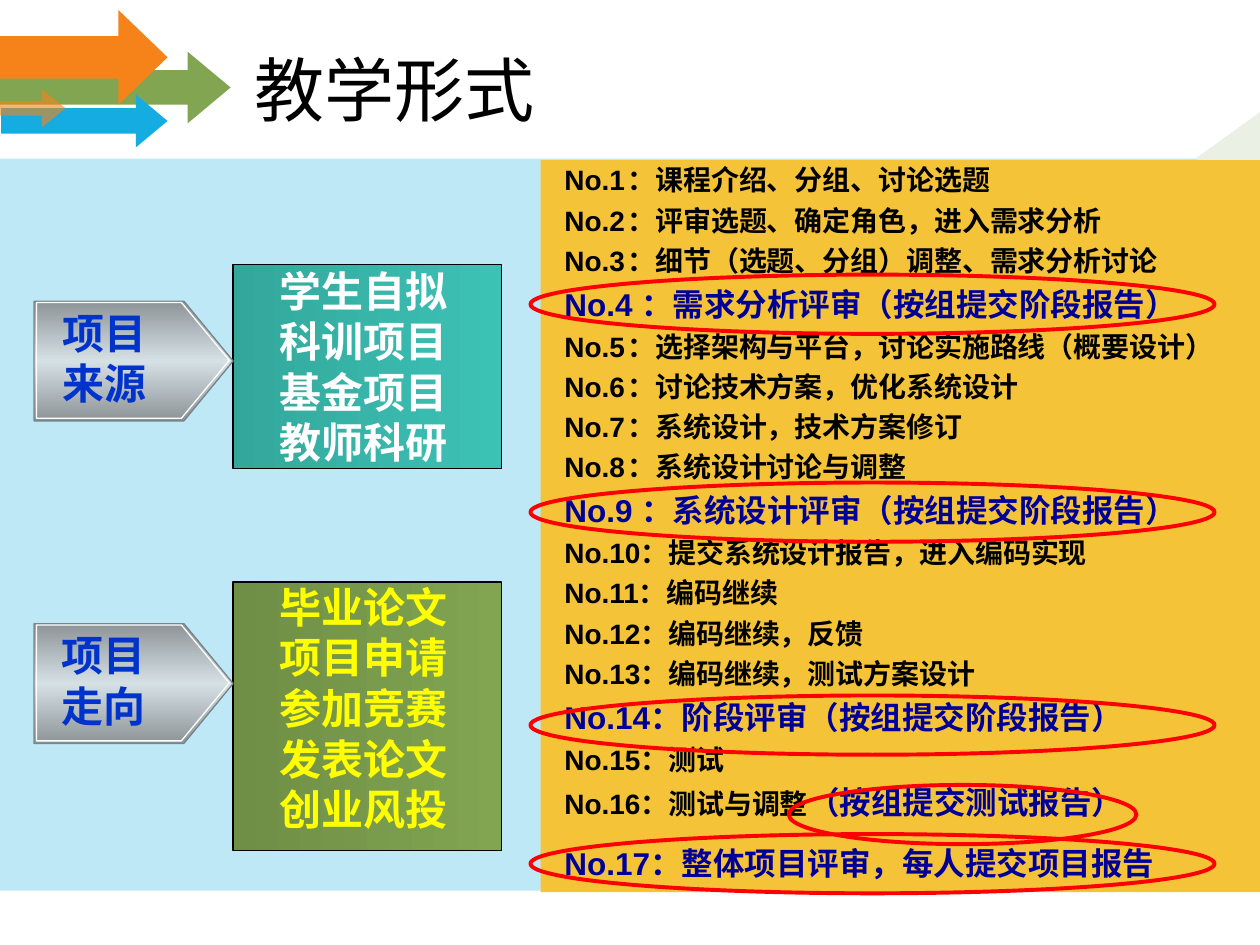
"""Build the slide on teaching formats, with project sources, outcomes and the session plan."""
from dataclasses import dataclass
from typing import Any, Optional

from lxml.etree import SubElement
from pptx import Presentation
from pptx.dml.color import RGBColor
from pptx.enum.shapes import MSO_SHAPE
from pptx.enum.text import MSO_ANCHOR, MSO_AUTO_SIZE, PP_ALIGN
from pptx.oxml.ns import qn
from pptx.util import Inches, Pt

BLACK, NAVY, RED, WHITE = "000000", "000099", "FF0000", "FFFFFF"
GREEN, ORANGE, BLUE = "81A551", "F6831A", "15ACE1"
STEEL = ("8D9498", "D5E0E5", "8D9498")


@dataclass(frozen=True)
class Area:
    left: float
    top: float
    width: float
    height: float

    def lengths(self) -> tuple:
        return tuple(Inches(side) for side in (self.left, self.top, self.width, self.height))


@dataclass(frozen=True)
class Arrow:
    area: Area
    color: str
    shaft: float
    head: float
    opacity: int = 100


@dataclass(frozen=True)
class Card:
    area: Area
    text_area: Area
    colors: tuple
    text_color: str
    lines: tuple


@dataclass(frozen=True)
class Tag:
    left: float
    top: float
    text_left: float
    lines: tuple


@dataclass(frozen=True)
class Session:
    plain: str = ""
    review: str = ""
    space_before: int = 0


ARROWS = (
    Arrow(Area(0.63, -0.22, 0.57, 1.83), GREEN, 0.48, 0.6),
    Arrow(Area(0.29, -0.21, 0.75, 1.33), ORANGE, 0.45, 0.52),
    Arrow(Area(0.46, 0.3, 0.42, 1.32), BLUE, 0.48, 0.6),
    Arrow(Area(0.11, 0.6, 0.3, 0.52), ORANGE, 0.39, 0.62, 60),
)
CARDS = (
    Card(Area(1.85, 4.62, 2.13, 2.13), Area(1.93, 4.61, 1.91, 2.07), ("6F8E46", GREEN), "FFFF00",
         ("毕业论文", "项目申请", "参加竞赛", "发表论文", "创业风投")),
    Card(Area(1.85, 2.1, 2.13, 1.62), Area(1.93, 2.1, 1.91, 1.67), ("34A79C", "3CC2B5"), WHITE,
         ("学生自拟", "科训项目", "基金项目", "教师科研")),
)
TAGS = (
    Tag(0.27, 2.39, 0.32, ("项目", "来源")),
    Tag(0.27, 4.95, 0.31, ("项目", "走向")),
)
SESSIONS = (
    Session("No.1\t：课程介绍、分组、讨论选题"),
    Session("No.2\t：评审选题、确定角色，进入需求分析"),
    Session("No.3\t：细节（选题、分组）调整、需求分析讨论"),
    Session(review="No.4 ：需求分析评审（按组提交阶段报告）"),
    Session("No.5\t：选择架构与平台，讨论实施路线（概要设计）"),
    Session("No.6\t：讨论技术方案，优化系统设计"),
    Session("No.7\t：系统设计，技术方案修订"),
    Session("No.8\t：系统设计讨论与调整"),
    Session(review="No.9 ：系统设计评审（按组提交阶段报告）"),
    Session("No.10：提交系统设计报告，进入编码实现"),
    Session("No.11：编码继续"),
    Session("No.12：编码继续，反馈"),
    Session("No.13：编码继续，测试方案设计"),
    Session(review="No.14：阶段评审（按组提交阶段报告）"),
    Session("No.15：测试"),
    Session("No.16：测试与调整", "（按组提交测试报告）"),
    Session(review="No.17：整体项目评审，每人提交项目报告", space_before=9),
)
RINGS = tuple(Area(4.21, top, 5.43, 0.47) for top in (3.83, 2.18, 5.52, 6.62)) + (
    Area(6.26, 6.23, 2.76, 0.47),)


def set_format(target: Any, values: dict) -> None:
    for name, value in values.items():
        setattr(target, name, value)


def paint(fill: Any, color: str) -> None:
    fill.solid()
    fill.fore_color.rgb = RGBColor.from_string(color)


def style(shape: Any, color: Optional[str] = None, line: Optional[str] = None,
          weight: float = 0.75, opacity: int = 100) -> None:
    shape.shadow.inherit = False
    if color:
        paint(shape.fill, color)
    else:
        shape.fill.background()
    if opacity < 100:
        tint = next(shape.element.spPr.iter(qn("a:srgbClr")))
        SubElement(tint, qn("a:alpha"), val=str(opacity * 1000))
    if line:
        paint(shape.line.fill, line)
        shape.line.width = Pt(weight)
    else:
        shape.line.fill.background()


def blend(shape: Any, colors: tuple, angle: int) -> None:
    shape.fill.gradient()
    shape.fill.gradient_angle = angle
    stops = next(shape.element.spPr.iter(qn("a:gsLst")))
    stops[:] = []
    for index, color in enumerate(colors):
        position = 100000 * index // (len(colors) - 1)
        stop = SubElement(stops, qn("a:gs"), pos=str(position))
        SubElement(stop, qn("a:srgbClr"), val=color)


def add_span(para: Any, text: str, size: int, color: str, bold: bool = True) -> Any:
    span = para.add_run()
    span.text = text
    set_format(span.font, {"name": "Arial", "size": Pt(size), "bold": bold})
    paint(span.font.fill, color)
    return span


def add_shadow(span: Any, color: str) -> None:
    effects = SubElement(span.font.fill._xPr, qn("a:effectLst"))
    shadow = SubElement(effects, qn("a:outerShdw"), dist="38100", dir="2700000", algn="tl")
    SubElement(shadow, qn("a:srgbClr"), val=color)
    effects.getparent().find(qn("a:solidFill")).addnext(effects)


def add_lines(page: Any, area: Area, lines: tuple, color: str, shadow: str, values: dict) -> None:
    frame = page.shapes.add_textbox(*area.lengths()).text_frame
    set_format(frame, {"word_wrap": True, "auto_size": MSO_AUTO_SIZE.SHAPE_TO_FIT_TEXT})
    for index, text in enumerate(lines):
        para = frame.add_paragraph() if index else frame.paragraphs[0]
        set_format(para, {"alignment": PP_ALIGN.CENTER, **values})
        add_shadow(add_span(para, text, 24, color), shadow)


def add_outline(page: Any, points: list) -> Any:
    start, *rest = [(Inches(x), Inches(y)) for x, y in points]
    builder = page.shapes.build_freeform(*start)
    builder.add_line_segments(rest, close=True)
    return builder.convert_to_shape()


def add_pentagon(page: Any, area: Area, point: float) -> Any:
    right, bottom = area.left + area.width, area.top + area.height
    return add_outline(page, [(area.left, area.top), (right - point, area.top),
                              (right, area.top + area.height / 2),
                              (right - point, bottom), (area.left, bottom)])


def add_arrow(page: Any, arrow: Arrow) -> None:
    shape = page.shapes.add_shape(MSO_SHAPE.UP_ARROW, *arrow.area.lengths())
    shape.rotation = 90
    shape.adjustments[0], shape.adjustments[1] = arrow.shaft, arrow.head
    style(shape, arrow.color, opacity=arrow.opacity)


def add_card(page: Any, card: Card) -> None:
    panel = page.shapes.add_shape(MSO_SHAPE.RECTANGLE, *card.area.lengths())
    style(panel, line=BLACK)
    blend(panel, card.colors, 0)
    add_lines(page, card.text_area, card.lines, card.text_color, BLACK,
              {"line_spacing": 0.9, "space_before": Pt(3)})


def add_tag(page: Any, tag: Tag) -> None:
    outer = add_pentagon(page, Area(tag.left, tag.top, 1.58, 0.95), 0.39)
    style(outer, line="76858A")
    blend(outer, STEEL, 90)
    inner = add_pentagon(page, Area(tag.left + 0.02, tag.top + 0.01, 1.53, 0.92), 0.38)
    style(inner, line=WHITE)
    add_lines(page, Area(tag.text_left, tag.top, 1.02, 0.9), tag.lines, "0033CC", WHITE, {})


def place(page: Any, box: Any, area: Area, anchor: Any) -> Any:
    set_format(box, dict(zip(("left", "top", "width", "height"), area.lengths())))
    page.shapes.element.append(box.element)
    set_format(box.text_frame, {"word_wrap": True, "auto_size": MSO_AUTO_SIZE.NONE,
                                "vertical_anchor": anchor})
    return box.text_frame


def add_sessions(page: Any, box: Any) -> None:
    frame = place(page, box, Area(4.38, 1.19, 5.62, 5.86), MSO_ANCHOR.TOP)
    for index, session in enumerate(SESSIONS):
        para = frame.add_paragraph() if index else frame.paragraphs[0]
        set_format(para, {"line_spacing": 1.2, "space_before": Pt(session.space_before)})
        properties = para._p.get_or_add_pPr()
        properties.set("marL", "0")
        properties.set("indent", "0")
        SubElement(properties, qn("a:buNone"))
        tabs = SubElement(properties, qn("a:tabLst"))
        SubElement(tabs, qn("a:tab"), pos=str(Inches(0.6)), algn="l")
        for text, size, color in ((session.plain, 16, BLACK), (session.review, 18, NAVY)):
            if text:
                add_span(para, text, size, color)


def main() -> None:
    deck = Presentation()
    deck.slide_width, deck.slide_height = Inches(10), Inches(7.5)
    page = deck.slides.add_slide(deck.slide_layouts[1])
    title, body = page.placeholders

    edge = add_outline(page, [(9.5, 1.25), (10, 0.89), (10, 6.67), (9.5, 7.07)])
    style(edge, GREEN, opacity=16)
    backdrop = page.shapes.add_shape(MSO_SHAPE.RECTANGLE, *Area(0, 1.26, 9.5, 5.81).lengths())
    style(backdrop, BLUE, opacity=27)
    for arrow in ARROWS:
        add_arrow(page, arrow)

    heading = place(page, title, Area(1.92, 0.11, 7.5, 1.18), MSO_ANCHOR.MIDDLE).paragraphs[0]
    heading.alignment = PP_ALIGN.LEFT
    add_span(heading, "教学形式", 40, BLACK, bold=False)

    for card in CARDS:
        add_card(page, card)
    plan = page.shapes.add_shape(MSO_SHAPE.RECTANGLE, *Area(4.29, 1.27, 5.71, 5.81).lengths())
    style(plan, "F4C338")
    add_sessions(page, body)
    for tag in TAGS:
        add_tag(page, tag)
    for ring in RINGS:
        style(page.shapes.add_shape(MSO_SHAPE.OVAL, *ring.lengths()), line=RED, weight=2.25)
    deck.save("out.pptx")


if __name__ == "__main__":
    main()
